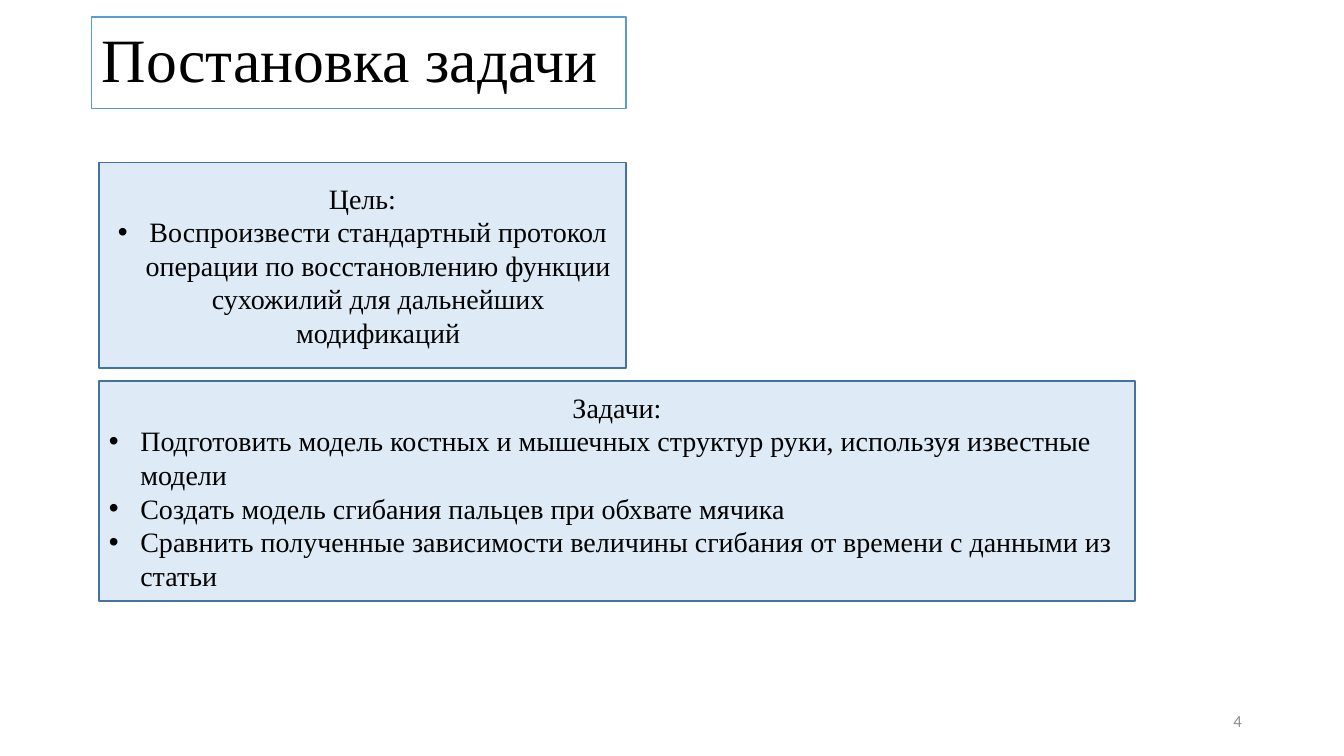
"""Build the slide that states the goal and the tasks."""
from lxml.etree import SubElement as Sub
from pptx import Presentation
from pptx.dml.color import RGBColor as Rgb
from pptx.enum.shapes import MSO_SHAPE as Kind
from pptx.enum.text import MSO_ANCHOR as Anchor, MSO_AUTO_SIZE as Auto, PP_ALIGN as Align
from pptx.oxml.ns import qn
from pptx.util import Pt

COLORS = {
    "text": "000000",
    "page": "FFFFFF",
    "panel": "DEEBF7",
    "edge": "43739E",
    "frame": "5B9BD5",
    "number": "8C8C8C",
}
SERIF = "Times New Roman"
INDENT = 22.5
LEFT = 70.6


def color(name):
    return Rgb.from_string(COLORS[name])


def place(shape, box):
    shape.left, shape.top, shape.width, shape.height = map(Pt, box)


def paint(shape, fill, line):
    shape.fill.solid()
    shape.fill.fore_color.rgb = color(fill)
    shape.line.color.rgb = color(line)
    shape.line.width = Pt(1)


def style(para, size, align, face=SERIF, tone="text"):
    para.alignment = align
    font = para.font
    font.size, font.name = Pt(size), face
    font.color.rgb = color(tone)


def bullet(para):
    props = para._p.get_or_add_pPr()
    props.set("marL", str(Pt(INDENT)))
    props.set("indent", str(-Pt(INDENT)))
    Sub(props, qn("a:buFont"), typeface="Arial")
    Sub(props, qn("a:buChar"), char="•")


def add_title(slide, text, box):
    title = slide.shapes.title
    place(title, box)
    paint(title, "page", "frame")
    frame = title.text_frame
    frame.text = text
    frame.auto_size = Auto.NONE
    frame.vertical_anchor = Anchor.MIDDLE
    para = frame.paragraphs[0]
    para.line_spacing = 0.9
    style(para, 44, Align.LEFT)


def add_panel(slide, box, head, items, align):
    panel = slide.shapes.add_shape(Kind.RECTANGLE, *map(Pt, box))
    panel.shadow.inherit = False
    paint(panel, "panel", "edge")
    frame = panel.text_frame
    frame.word_wrap = True
    frame.vertical_anchor = Anchor.MIDDLE
    frame.text = head
    style(frame.paragraphs[0], 20, Align.CENTER)
    for item in items:
        para = frame.add_paragraph()
        para.text = item
        bullet(para)
        style(para, 20, align)


def add_number(slide, text, box):
    frame = slide.shapes.add_textbox(*map(Pt, box)).text_frame
    frame.word_wrap = True
    frame.vertical_anchor = Anchor.MIDDLE
    frame.text = text
    style(frame.paragraphs[0], 12, Align.RIGHT, "Calibri", "number")


def main():
    deck = Presentation()
    deck.slide_width, deck.slide_height = Pt(960), Pt(540)
    slide = deck.slides.add_slide(deck.slide_layouts[5])
    add_title(slide, "Постановка задачи", (65.5, 12.2, 381.6, 65.5))
    add_panel(slide, (LEFT, 115.9, 376.6, 146.9), "Цель:", [
        "Воспроизвести стандартный протокол операции по восстановлению "
        "функции сухожилий для дальнейших модификаций",
    ], Align.CENTER)
    add_panel(slide, (LEFT, 272.2, 740.2, 157), "Задачи:", [
        "Подготовить модель костных и мышечных структур руки, "
        "используя известные модели",
        "Создать модель сгибания пальцев при обхвате мячика",
        "Сравнить полученные зависимости величины сгибания "
        "от времени с данными из статьи",
    ], Align.LEFT)
    add_number(slide, "4", (678.2, 500.4, 216, 28.8))
    deck.save("out.pptx")


if __name__ == "__main__":
    main()
